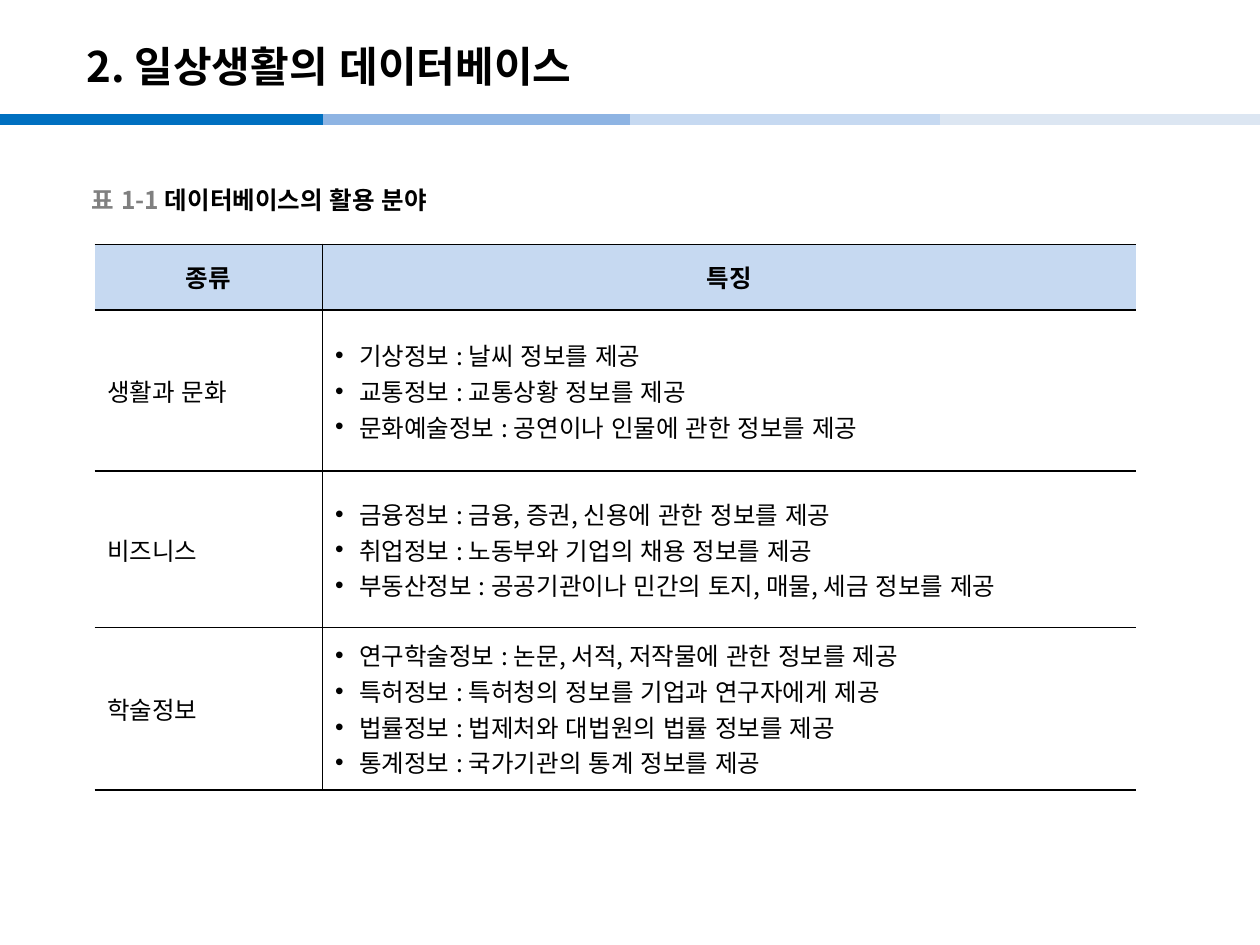
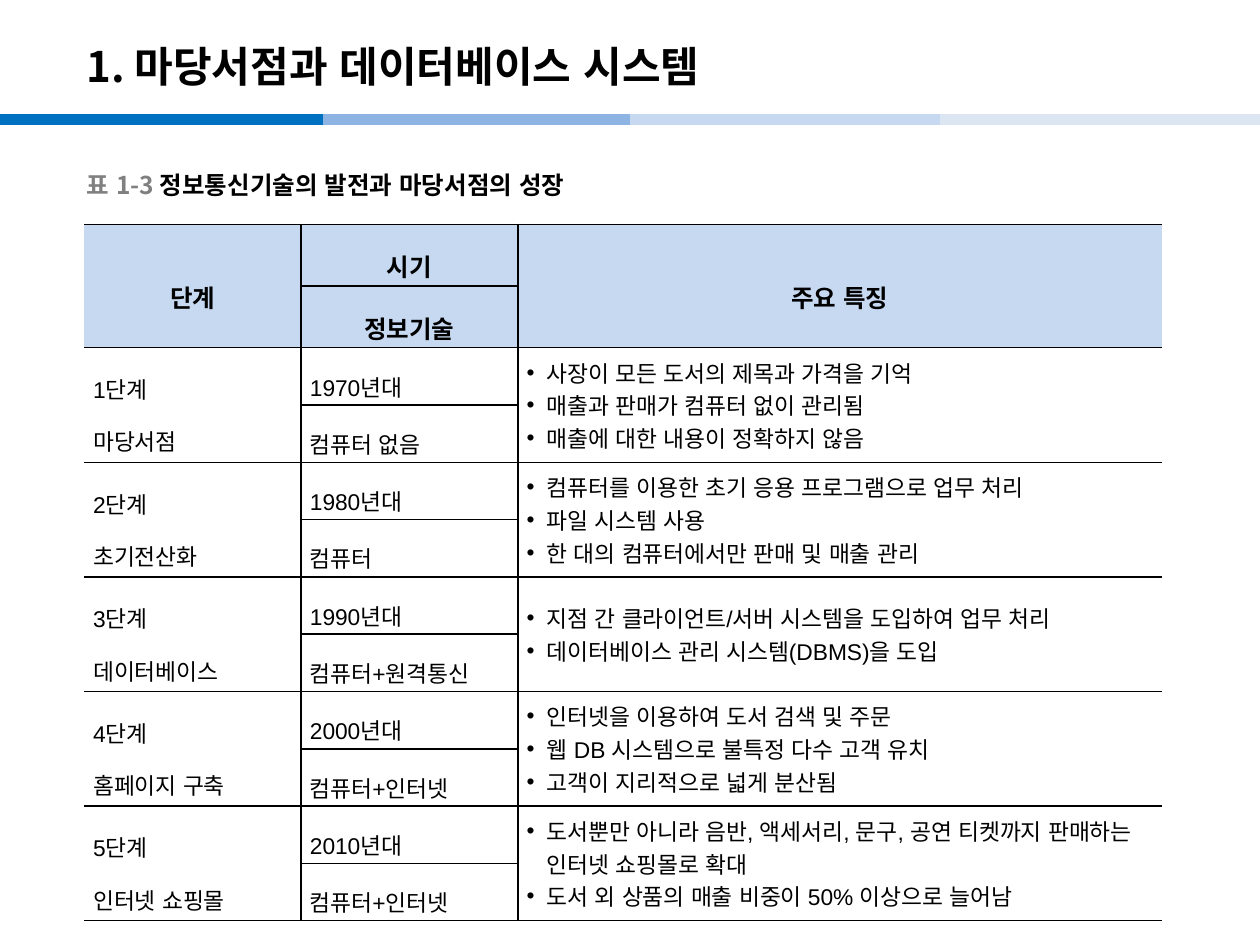
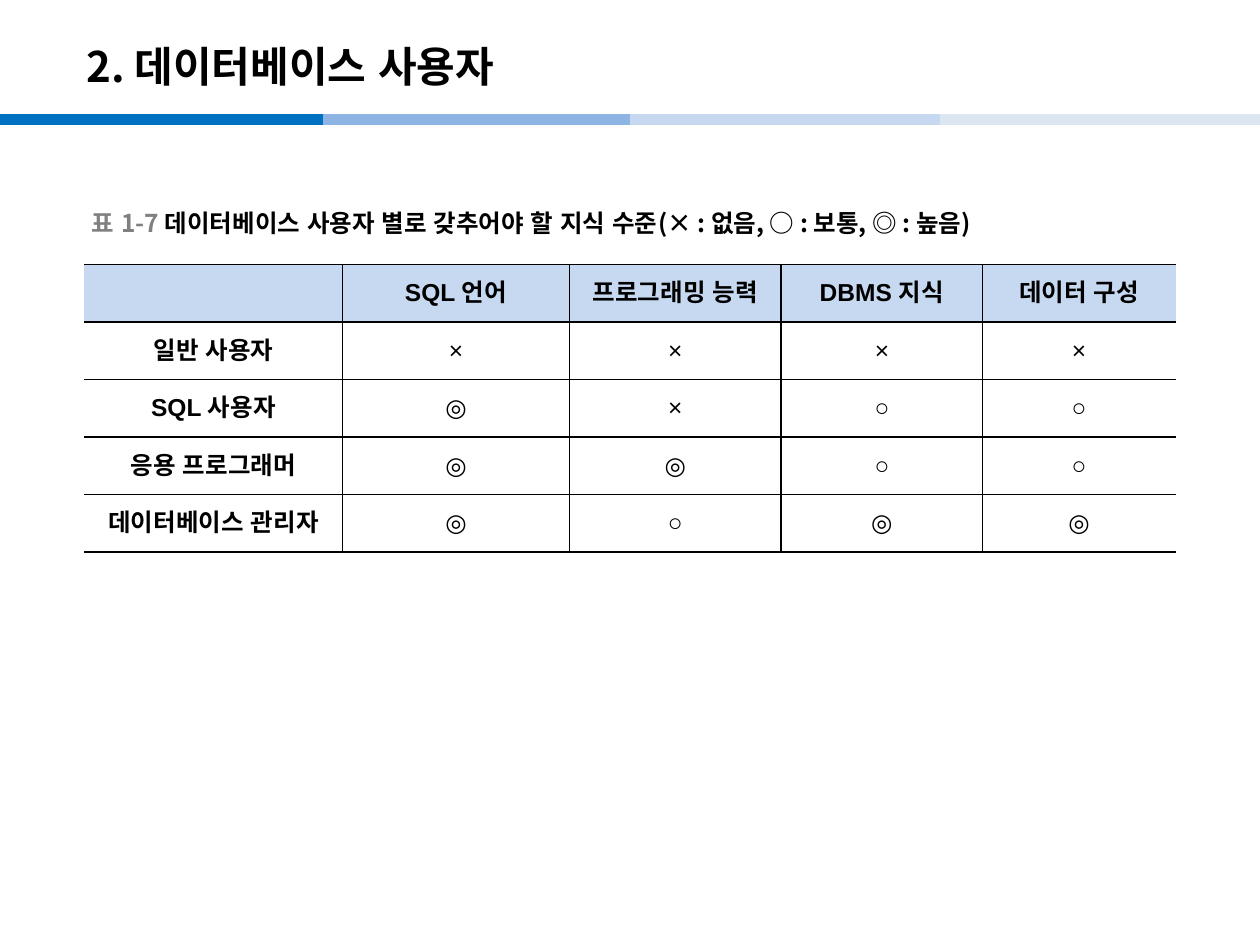
from dataclasses import dataclass

from lxml import etree
from pptx import Presentation
from pptx import util as u
from pptx.dml.color import RGBColor
from pptx.enum import lang, shapes, text
from pptx.oxml import ns


@dataclass(frozen=True)
class Theme:
    ink: str = "000000"
    gray: str = "808080"
    head: str = "C6D9F1"
    paper: str = "FFFFFF"
    bands: tuple = ("0070C0", "8EB4E3", "C6D9F1", "DCE6F2")
    sans: str = "Noto Sans CJK KR"
    arial: str = "Arial"
    title: int = 24
    body: int = 14
    small: int = 13
    band: int = 6
    rule: int = 1


T = Theme()
MID = text.MSO_ANCHOR.MIDDLE
LEFT, CENTER = text.PP_ALIGN.LEFT, text.PP_ALIGN.CENTER

FIELDS = [
    ("종류", "특징"),
    ("생활과 문화", [
        "기상정보 : 날씨 정보를 제공",
        "교통정보 : 교통상황 정보를 제공",
        "문화예술정보 : 공연이나 인물에 관한 정보를 제공"]),
    ("비즈니스", [
        "금융정보 : 금융, 증권, 신용에 관한 정보를 제공",
        "취업정보 : 노동부와 기업의 채용 정보를 제공",
        "부동산정보 : 공공기관이나 민간의 토지, 매물, 세금 정보를 제공"]),
    ("학술정보", [
        "연구학술정보 : 논문, 서적, 저작물에 관한 정보를 제공",
        "특허정보 : 특허청의 정보를 기업과 연구자에게 제공",
        "법률정보 : 법제처와 대법원의 법률 정보를 제공",
        "통계정보 : 국가기관의 통계 정보를 제공"]),
]

# Each stage fills two rows: stage, era, technology, features.
STAGES = [
    ("단계", "시기", "정보기술", "주요 특징"),
    ("1단계\n마당서점", "1970년대", "컴퓨터 없음", [
        "사장이 모든 도서의 제목과 가격을 기억",
        "매출과 판매가 컴퓨터 없이 관리됨",
        "매출에 대한 내용이 정확하지 않음"]),
    ("2단계\n초기전산화", "1980년대", "컴퓨터", [
        "컴퓨터를 이용한 초기 응용 프로그램으로 업무 처리",
        "파일 시스템 사용",
        "한 대의 컴퓨터에서만 판매 및 매출 관리"]),
    ("3단계\n데이터베이스", "1990년대", "컴퓨터+원격통신", [
        "지점 간 클라이언트/서버 시스템을 도입하여 업무 처리",
        "데이터베이스 관리 시스템(DBMS)을 도입"]),
    ("4단계\n홈페이지 구축", "2000년대", "컴퓨터+인터넷", [
        "인터넷을 이용하여 도서 검색 및 주문",
        "웹 DB 시스템으로 불특정 다수 고객 유치",
        "고객이 지리적으로 넓게 분산됨"]),
    ("5단계\n인터넷 쇼핑몰", "2010년대", "컴퓨터+인터넷", [
        "도서뿐만 아니라 음반, 액세서리, 문구, 공연 티켓까지 "
        "판매하는 인터넷 쇼핑몰로 확대",
        "도서 외 상품의 매출 비중이 50% 이상으로 늘어남"]),
]

SKILLS = [
    ("", "SQL 언어", "프로그래밍 능력", "DBMS 지식", "데이터 구성"),
    ("일반 사용자", *"××××"),
    ("SQL 사용자", *"◎×○○"),
    ("응용 프로그래머", *"◎◎○○"),
    ("데이터베이스 관리자", *"◎○◎◎"),
]


def put(item, **vals):
    for key, val in vals.items():
        setattr(item, key, val)


def sub(node, tag, **attrs):
    return etree.SubElement(node, ns.qn(tag), attrs)


def rgb(code):
    return RGBColor.from_string(code)


def write(para, words, size, color=T.ink, bold=True, face=T.sans, asian=T.sans):
    run = para.add_run()
    run.text = words
    put(run.font, name=face, size=u.Pt(size), bold=bold,
        language_id=lang.MSO_LANGUAGE_ID.KOREAN)
    run.font.color.rgb = rgb(color)
    sub(run.font._element, "a:ea", typeface=asian)


def bullet(para, ind):
    props = para._p.get_or_add_pPr()
    shift = u.Inches(ind)
    props.set("marL", str(shift))
    props.set("indent", str(-shift))
    sub(props, "a:buFont", typeface=T.arial)
    sub(props, "a:buChar", char="•")


def band(slide):
    for left, color in zip((0, 2.56, 5, 7.46), T.bands):
        line = slide.shapes.add_connector(
            shapes.MSO_CONNECTOR.STRAIGHT, u.Inches(left), u.Inches(0.95),
            u.Inches(left + 2.56), u.Inches(0.95))
        line.line.width = u.Pt(T.band)
        line.line.color.rgb = rgb(color)
        sub(line._element.spPr, "a:effectLst")


def label(slide, box, parts, size):
    """Add one line of text from (words, color) parts."""
    frame = slide.shapes.add_textbox(*map(u.Inches, box)).text_frame
    put(frame, word_wrap=True, vertical_anchor=MID)
    for words, color in parts:
        write(frame.paragraphs[0], words, size, color)


def page(deck, title, spot, number, topic):
    """Start a slide with its title, bands and table caption."""
    slide = deck.slides.add_slide(deck.slide_layouts[6])
    band(slide)
    label(slide, (0.59, 0.22, 8.27, 0.6), [(title, T.ink)], T.title)
    label(slide, spot, [(f"표 {number} ", T.gray), (topic, T.ink)], T.body)
    return slide


def edge(cell, first, last):
    """Rule all sides of a cell but the outer left and right of the table."""
    props = cell._tc.get_or_add_tcPr()
    for side, bare in (("L", first), ("R", last), ("T", False), ("B", False)):
        line = sub(props, f"a:ln{side}", w=str(u.Pt(T.rule)))
        if bare:
            sub(line, "a:noFill")
        else:
            sub(sub(line, "a:solidFill"), "a:srgbClr", val=T.ink)


def grid(slide, spot, cols, rows):
    table = slide.shapes.add_table(
        len(rows), len(cols), *map(u.Inches, (*spot, sum(cols), sum(rows)))).table
    put(table, first_row=False, horz_banding=False)
    for col, width in zip(table.columns, cols):
        col.width = u.Inches(width)
    for row, height in zip(table.rows, rows):
        row.height = u.Inches(height)
    return table


def dress(table, heads=1, pads=None):
    """Set borders, fills and margins of all cells."""
    last = len(table.columns) - 1
    for r, row in enumerate(table.rows):
        for c, cell in enumerate(row.cells):
            edge(cell, c == 0, c == last)
            cell.fill.solid()
            cell.fill.fore_color.rgb = rgb(T.head if r < heads else T.paper)
            cell.vertical_anchor = MID
            if pads:
                side, top = map(u.Inches, pads)
                put(cell, margin_left=side, margin_right=side,
                    margin_top=top, margin_bottom=top)


def fill(cell, words, align=LEFT, ind=0.19, gap=None, size=T.body, **look):
    """Write lines of text, or bullets if words is a list."""
    listed = isinstance(words, list)
    frame = cell.text_frame
    for i, line in enumerate(words if listed else words.split("\n")):
        para = frame.add_paragraph() if i else frame.paragraphs[0]
        para.alignment = align
        if listed:
            bullet(para, ind)
        elif gap:
            para.line_spacing = gap
        write(para, line, size, **look)


def fields(deck):
    slide = page(deck, "2. 일상생활의 데이터베이스", (0.63, 1.43, 3.11, 0.31),
                 "1-1", "데이터베이스의 활용 분야")
    table = grid(slide, (0.75, 1.94), (1.81, 6.46), (0.52, 1.28, 1.24, 1.29))
    dress(table)
    for r, row in enumerate(FIELDS):
        for c, words in enumerate(row):
            fill(table.cell(r, c), words, LEFT if r else CENTER, bold=not r)


def stages(deck):
    slide = page(deck, "1. 마당서점과 데이터베이스 시스템", (0.59, 1.31, 4.4, 0.31),
                 "1-3", "정보통신기술의 발전과 마당서점의 성장")
    table = grid(slide, (0.67, 1.78), (1.72, 1.72, 5.11),
                 [0.49] * 2 + [0.91 / 2] * 10)
    dress(table, heads=2, pads=(0.07, 0.02))
    head = dict(align=CENTER, gap=1.6)
    body = dict(gap=1.6, ind=0.16, size=T.small, bold=False, face=T.arial)
    for i, (stage, era, tech, notes) in enumerate(STAGES):
        top = 2 * i
        for c in (0, 2):
            table.cell(top, c).merge(table.cell(top + 1, c))
        for r, c, words in ((0, 0, stage), (0, 1, era), (1, 1, tech), (0, 2, notes)):
            fill(table.cell(top + r, c), words, **(body if i else head))


def skills(deck):
    slide = page(deck, "2. 데이터베이스 사용자", (0.63, 1.61, 8.2, 0.31), "1-7",
                 "데이터베이스 사용자 별로 갖추어야 할 지식 수준"
                 "(× : 없음, ○ : 보통, ◎ : 높음)")
    table = grid(slide, (0.67, 2.1), (2.05, 1.8, 1.68, 1.6, 1.53), [2.28 / 5] * 5)
    dress(table)
    for r, row in enumerate(SKILLS):
        for c, words in enumerate(row):
            if words:
                fill(table.cell(r, c), words, CENTER, bold=r == 0 or c == 0,
                     face=T.arial, asian=T.arial)


def main():
    deck = Presentation()
    put(deck, slide_width=u.Inches(10), slide_height=u.Inches(7.5))
    fields(deck)
    stages(deck)
    skills(deck)
    deck.save("out.pptx")


if __name__ == "__main__":
    main()
